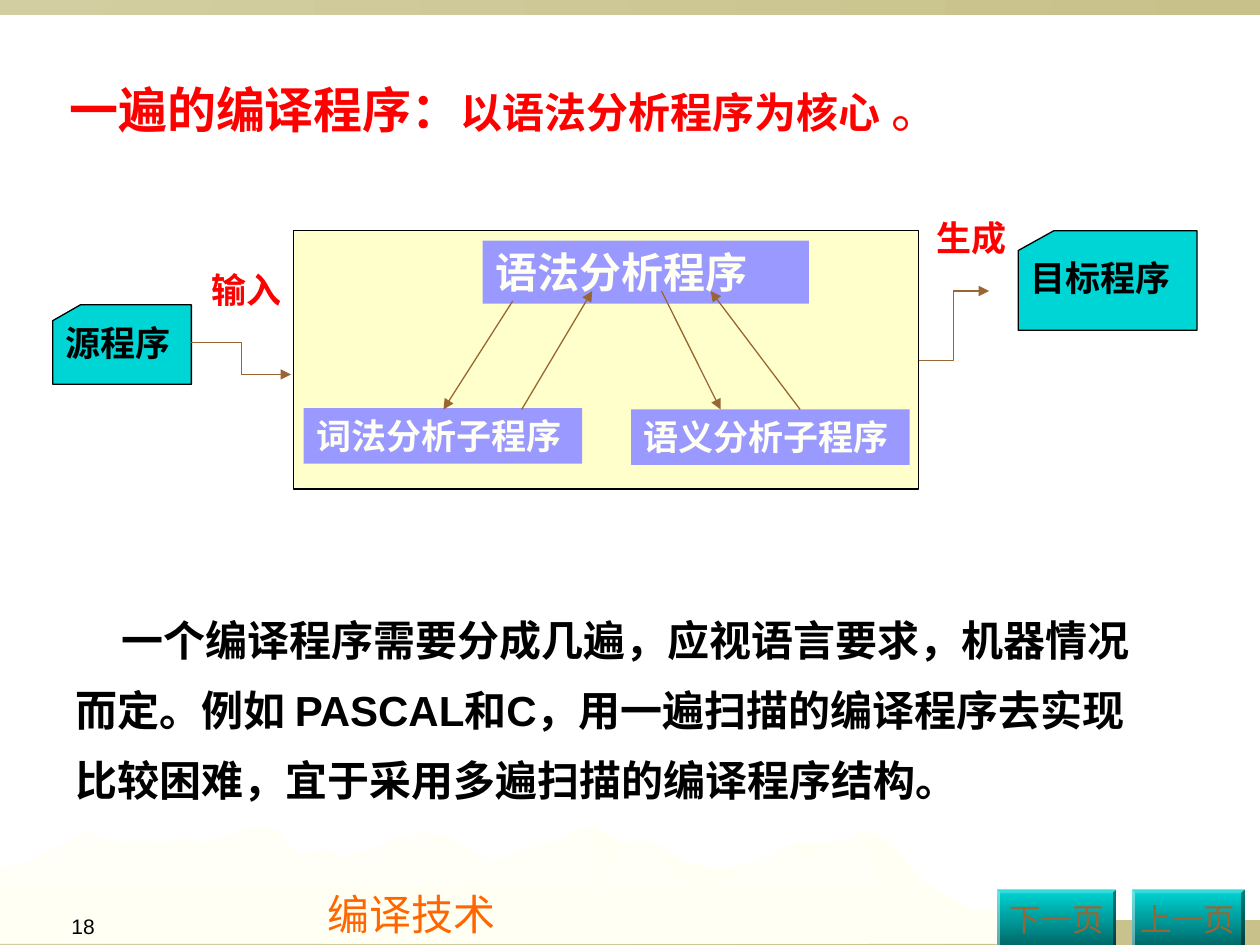
from dataclasses import dataclass

from lxml.etree import SubElement
from pptx import Presentation
from pptx.dml.color import RGBColor
from pptx.enum.shapes import MSO_CONNECTOR, MSO_SHAPE
from pptx.enum.text import MSO_ANCHOR, MSO_AUTO_SIZE, PP_ALIGN
from pptx.oxml.ns import qn
from pptx.util import Pt


@dataclass(frozen=True)
class Theme:
    font: str = "Arial"
    black: str = "000000"
    red: str = "FF0000"
    orange: str = "FF6600"
    brown: str = "996633"
    ivory: str = "FFFFF4"
    cream: str = "FFFFCC"
    violet: str = "9999FF"
    cyan: str = "00D5D5"
    band: tuple = ("D3CEA1", "C8C18A")
    hills: tuple = ("FFFFF8", "FFFFF4")
    button: tuple = ("00D5D5", "006363")
    hairline: float = 0.75
    title: int = 28
    large: int = 24
    label: int = 20
    button_text: int = 18
    number: int = 12


def assign(target, values):
    for name, value in values.items():
        setattr(target, name, value)


class SlideBuilder:
    def __init__(self, slide, theme):
        self.slide = slide
        self.theme = theme

    def paint(self, shape, fill, line=None, angle=0):
        shape.shadow.inherit = False
        if isinstance(fill, tuple):
            shape.fill.gradient()
            shape.fill.gradient_angle = angle
            for stop, color in zip(shape.fill.gradient_stops, fill):
                stop.color.rgb = RGBColor.from_string(color)
        else:
            shape.fill.solid()
            shape.fill.fore_color.rgb = RGBColor.from_string(fill)
        if line:
            shape.line.color.rgb = RGBColor.from_string(line)
            shape.line.width = Pt(self.theme.hairline)
        else:
            shape.line.fill.background()

    def fill_text(self, shape, runs, color, frame=None, paragraph=None, indent=0):
        text_frame = shape.text_frame
        assign(text_frame, {
            "word_wrap": True,
            "auto_size": MSO_AUTO_SIZE.NONE,
            "vertical_anchor": MSO_ANCHOR.TOP,
            "margin_left": Pt(7.2), "margin_right": Pt(7.2),
            "margin_top": Pt(3.6), "margin_bottom": Pt(3.6),
        } | (frame or {}))
        first = text_frame.paragraphs[0]
        assign(first, {"alignment": PP_ALIGN.LEFT, "space_before": Pt(0)} | (paragraph or {}))
        if indent:
            first._p.get_or_add_pPr().set("indent", str(Pt(indent)))
        for words, size, bold in runs:
            run = first.add_run()
            run.text = words
            assign(run.font, {"name": self.theme.font, "size": Pt(size), "bold": bold})
            run.font.color.rgb = RGBColor.from_string(color)

    def title(self, box, runs, color):
        heading = self.slide.shapes.title
        assign(heading, dict(zip(("left", "top", "width", "height"), map(Pt, box))))
        self.fill_text(heading, runs, color, {"word_wrap": False})

    def text(self, box, runs, color, **layout):
        self.fill_text(self.slide.shapes.add_textbox(*map(Pt, box)), runs, color, **layout)

    def shape(self, kind, box, fill, line=None, angle=0):
        drawn = self.slide.shapes.add_shape(kind, *map(Pt, box))
        self.paint(drawn, fill, line, angle)
        return drawn

    def module(self, box, words, size):
        block = self.shape(MSO_SHAPE.RECTANGLE, box, self.theme.violet)
        self.fill_text(block, [(words, size, True)], self.theme.ivory)

    def button(self, box, words):
        key = self.shape(MSO_SHAPE.BEVEL, box, self.theme.button, angle=270)
        key.adjustments[0] = 0.06
        self.fill_text(key, [(words, self.theme.button_text, False)], self.theme.brown,
                       {"word_wrap": False, "vertical_anchor": MSO_ANCHOR.MIDDLE},
                       {"alignment": PP_ALIGN.CENTER})

    def hill(self, outline, fill):
        builder = self.slide.shapes.build_freeform(*outline[0], scale=Pt(0.72))
        builder.add_line_segments(outline[1:], close=True)
        self.paint(builder.convert_to_shape(), fill, angle=270)

    def arrow(self, kind, ends):
        link = self.slide.shapes.add_connector(kind, *map(Pt, ends))
        link.line.color.rgb = RGBColor.from_string(self.theme.brown)
        link.line.width = Pt(self.theme.hairline)
        SubElement(link.line._get_or_add_ln(), qn("a:tailEnd"), type="triangle")
        SubElement(link._element.spPr, qn("a:effectLst"))


RIGHT_RIDGE = [
    (802, 738), (778, 725), (764, 721), (723, 696), (702, 669), (685, 657), (676, 664),
    (656, 669), (629, 669), (613, 678), (566, 695), (536, 688), (529, 674), (526, 671),
    (509, 667), (486, 671), (474, 659), (471, 656), (465, 656), (450, 662), (438, 669),
    (430, 669), (418, 673), (394, 683), (355, 696), (327, 707), (277, 736), (258, 749),
    (821, 749)]
LEFT_RIDGE = [
    (690, 749), (667, 746), (432, 710), (354, 663), (331, 660), (327, 666), (323, 666),
    (318, 662), (296, 674), (271, 680), (260, 674), (236, 678), (223, 660), (212, 656),
    (197, 656), (183, 662), (160, 669), (148, 665), (143, 665), (132, 669), (111, 667),
    (94, 669), (68, 659), (56, 667), (46, 672), (35, 677), (26, 683), (14, 686),
    (0, 688), (0, 749)]
HILL_SHADES = [
    [(796, 722), (771, 722), (734, 701), (707, 669), (685, 657), (689, 662), (685, 669),
     (691, 678), (698, 700), (693, 731), (720, 715), (792, 750), (858, 749), (829, 740)],
    [(471, 656), (474, 660), (469, 662), (468, 669), (472, 678), (473, 688), (465, 725),
     (474, 702), (479, 698), (487, 681), (490, 680), (490, 674), (497, 669), (493, 668)],
    [(529, 674), (526, 681), (536, 695), (580, 721), (576, 698), (592, 687), (570, 690),
     (542, 683)],
    [(650, 669), (630, 669), (631, 673), (630, 674), (643, 681), (647, 677), (657, 682),
     (652, 674), (656, 669)],
    [(433, 675), (432, 671), (434, 669), (439, 668), (437, 671), (439, 677), (434, 682)],
]


def main():
    presentation = Presentation()
    assign(presentation, {"slide_width": Pt(720), "slide_height": Pt(540)})
    theme = Theme()
    page = SlideBuilder(presentation.slides.add_slide(presentation.slide_layouts[5]), theme)

    for band in ((0, 525.6, 720, 14.4), (0, 0, 720, 8.6)):
        page.shape(MSO_SHAPE.RECTANGLE, band, theme.band)
    page.hill(RIGHT_RIDGE, theme.hills)
    for shade in HILL_SHADES:
        page.hill(shade, theme.ivory)
    page.hill(LEFT_RIDGE, theme.hills)

    for box, words, size, color in (
        ((33.8, 521.3, 69.1, 18.7), "18", theme.number, theme.black),
        ((180, 509.8, 110.2, 30.2), "编译技术", theme.large, theme.orange),
    ):
        page.text(box, [(words, size, False)], color,
                  frame={"word_wrap": False}, paragraph={"line_spacing": 0.8})

    page.title((32.4, 41.8, 512, 41), [
        ("一遍的编译程序：", theme.title, True),
        ("以语法分析程序为核心", theme.large, True),
        (" 。", theme.title, False)], theme.red)

    for card in ((30.2, 174.2, 79.2, 45.4), (581.8, 131.8, 102.2, 56.9)):
        page.shape(MSO_SHAPE.FLOWCHART_CARD, card, theme.cyan, theme.black)
    page.shape(MSO_SHAPE.RECTANGLE, (167.8, 131.8, 357.1, 147.6), theme.cream, theme.black)
    page.module((275.8, 137.5, 186.5, 36), "语法分析程序", theme.large)
    page.module((173.5, 233.3, 159.1, 31.7), "词法分析子程序", theme.label)
    page.module((360.7, 234, 159.1, 31.7), "语义分析子程序", theme.label)

    for call in ((293, 172, 253.4, 234), (298.1, 234, 338.4, 166.3),
                 (378, 166.3, 411.8, 234), (457.2, 234, 406.1, 166.3)):
        page.arrow(MSO_CONNECTOR.STRAIGHT, call)
    for flow in ((109.4, 195.8, 166.3, 214), (524.9, 205.9, 565.2, 166.3)):
        page.arrow(MSO_CONNECTOR.ELBOW, flow)

    for left, top, width, words, color in (
        (30.2, 180, 79.2, "源程序", theme.black),
        (581.8, 143.3, 96.5, "目标程序", theme.black),
        (113.8, 149.8, 56.9, "输入", theme.red),
        (527.8, 120.2, 61.9, "生成", theme.red),
    ):
        page.text((left, top, width, 31.7), [(words, theme.label, True)], color)

    page.text((36, 336.2, 635.8, 127.4), [(
        "一个编译程序需要分成几遍，应视语言要求，机器情况而定。例如 PASCAL和C，"
        "用一遍扫描的编译程序去实现比较困难，宜于采用多遍扫描的编译程序结构。",
        theme.large, True)], theme.black, paragraph={"line_spacing": Pt(40)}, indent=26.5)

    page.button((569.5, 508.3, 68.4, 33.8), "下一页")
    page.button((646.6, 508.3, 64.8, 33.8), "上一页")
    presentation.save("out.pptx")


if __name__ == "__main__":
    main()
